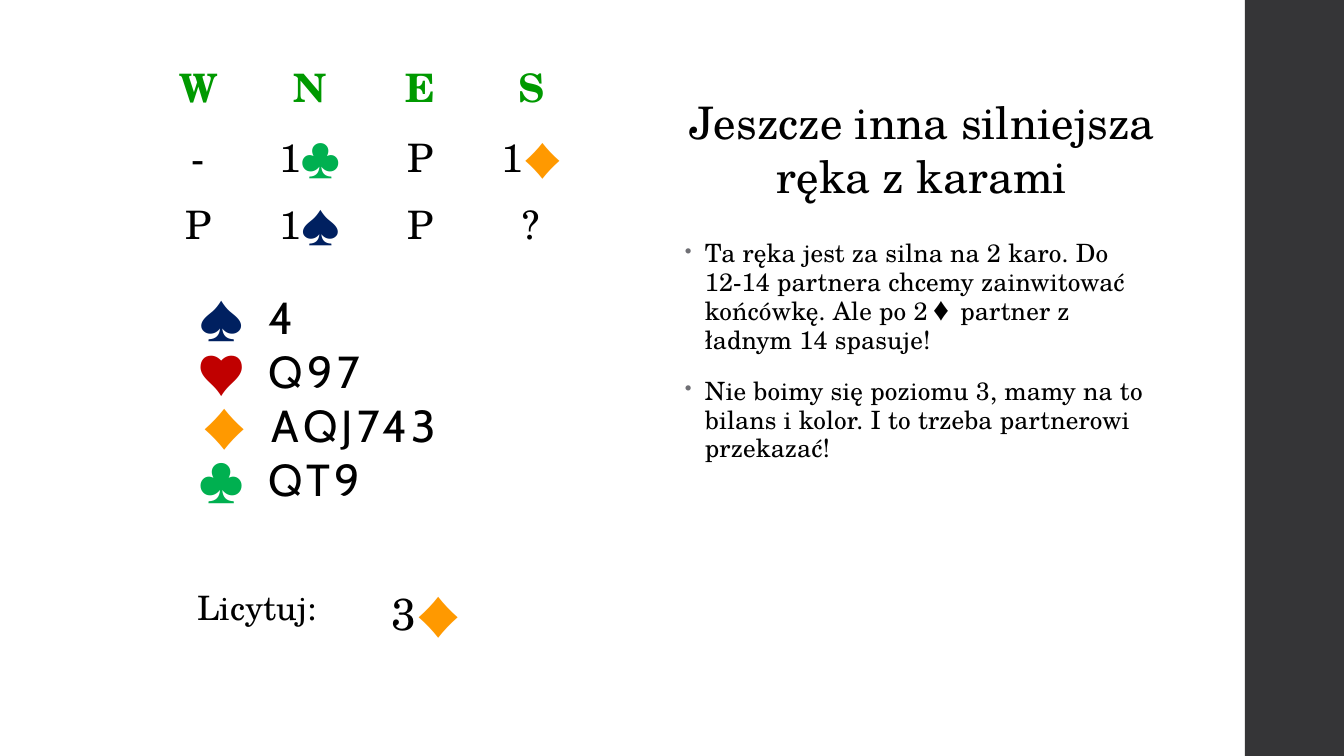
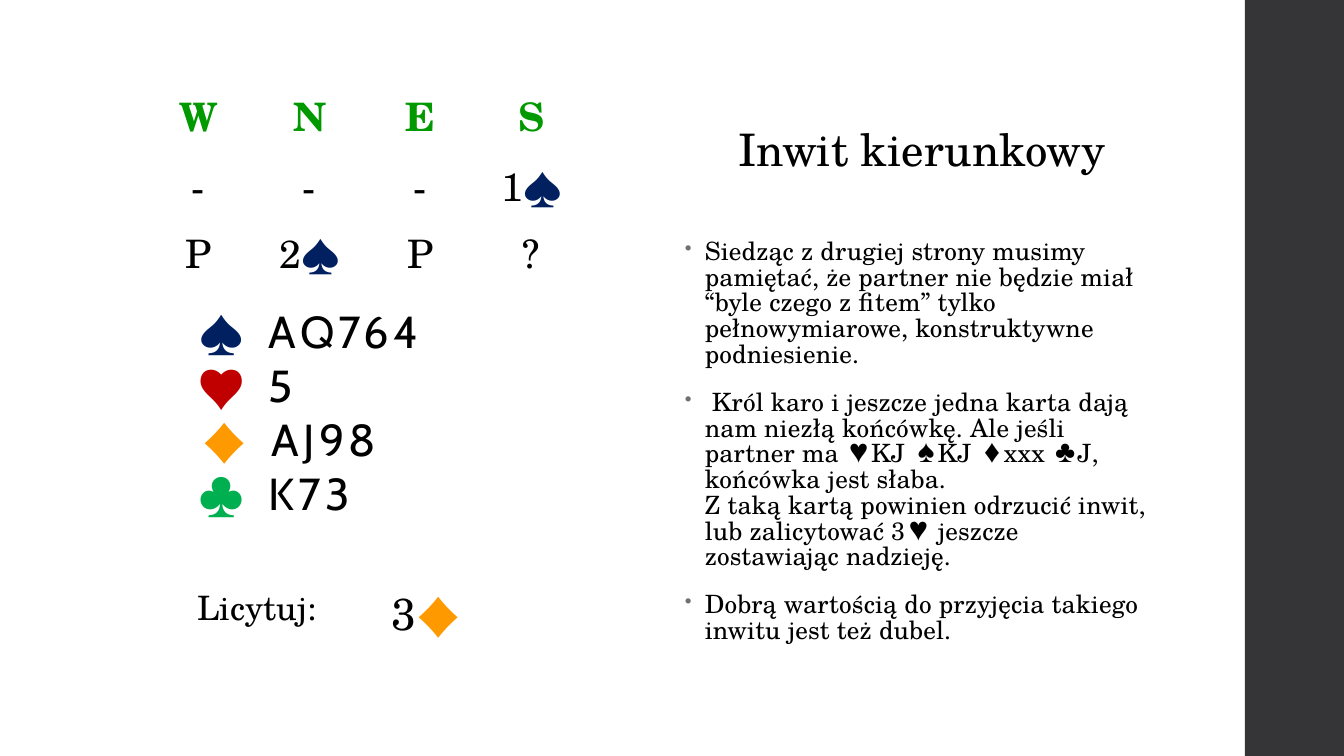
import pptx
import pptx.util
import pptx.dml.color
import pptx.enum.shapes
import pptx.enum.text
import pptx.oxml.ns
import lxml.etree

SLIDES = [
    {
        "title": "Jeszcze inna silniejsza ręka z karami",
        "auction": [["-", "1♣", "P", "1♦"], ["P", "1♠", "P", "?"]],
        "hand": ["4", "Q97", "AQJ743", "QT9"],
        "answer": "3♦",
        "comments": [
            "Ta ręka jest za silna na 2 karo. Do\n12-14 partnera chcemy zainwitować "
            "końcówkę. Ale po 2♦ partner z ładnym 14 spasuje!",
            "Nie boimy się poziomu 3, mamy na to bilans i kolor. "
            "I to trzeba partnerowi przekazać!",
        ],
        "line_spacing": 0.95,
        "auction_top": 52,
        "hand_top": 285,
    },
    {
        "title": "Inwit kierunkowy",
        "auction": [["-", "-", "-", "1♠"], ["P", "2♠", "P", "?"]],
        "hand": ["AQ764", "5", "AJ98", "K73"],
        "answer": "3♦",
        "comments": [
            "Siedząc z drugiej strony musimy pamiętać, że partner nie będzie miał "
            "“byle czego z fitem” tylko pełnowymiarowe, konstruktywne podniesienie.",
            " Król karo i jeszcze jedna karta dają nam niezłą końcówkę. Ale jeśli "
            "partner ma ♥KJ ♠KJ ♦xxx ♣J, końcówka jest słaba.\n"
            "Z taką kartą powinien odrzucić inwit, lub zalicytować 3♥ jeszcze "
            "zostawiając nadzieję.",
            "Dobrą wartością do przyjęcia takiego inwitu jest też dubel.",
        ],
        "line_spacing": 0.85,
        "auction_top": 81,
        "hand_top": 299,
    },
]

PLAYERS = ["W", "N", "E", "S"]
PROMPT = "Licytuj:"
SUITS = {"♠": "002060", "♥": "C00000", "♦": "FF9900", "♣": "00B050"}
BLACK, WHITE, GREEN, GRAY, DARK = "000000", "FFFFFF", "009900", "6F6F74", "353537"
SERIF, SANS = "TeX Gyre Schola", "Cabin"

SLIDE_WIDTH, SLIDE_HEIGHT = 1344, 756
BAND_LEFT = 1245
RIGHT_LEFT, RIGHT_WIDTH = 675, 494
TITLE_BOX = (RIGHT_LEFT, 89, RIGHT_WIDTH, 119)
COMMENT_BOX = (RIGHT_LEFT, 235, RIGHT_WIDTH, 455)
AUCTION_LEFT, AUCTION_COLUMN, AUCTION_ROW = 143, 111, 41
HAND_LEFT, HAND_WIDTH, HAND_HEIGHT = 188, 352, 228
HAND_TABS = [(50, "r"), (71, "l")]
DIAMOND_INDENT = 3
ANSWER_LEFT, ANSWER_TOP, ANSWER_COLUMNS, ANSWER_ROW = 133, 575, [248, 159], 63
BULLET_INDENT = 20

ALIGN = pptx.enum.text.PP_ALIGN
MIDDLE = pptx.enum.text.MSO_ANCHOR.MIDDLE


def px(length):
    return round(length * 914400 / 100.8)


def color(value):
    return pptx.dml.color.RGBColor.from_string(value)


def apply(target, values):
    for name, value in values.items():
        setattr(target, name, value)


def format_run(run, size, font=SERIF, fill=BLACK, bold=False, spacing=0):
    apply(run.font, {"size": pptx.util.Pt(size), "name": font, "bold": bold})
    run.font.color.rgb = color(fill)
    if spacing:
        run.font._element.set("spc", str(round(spacing * 100)))


def add_run(paragraph, text, size, **style):
    run = paragraph.add_run()
    run.text = text
    format_run(run, size, **style)


def add_bid(paragraph, bid, size, **style):
    for symbol in bid:
        if symbol in SUITS:
            add_run(paragraph, symbol, size, font=SANS, fill=SUITS[symbol], spacing=3)
        else:
            add_run(paragraph, symbol, size, **style)


def add_property(parent, tag, **attributes):
    return lxml.etree.SubElement(
        parent, pptx.oxml.ns.qn(tag), {name: str(value) for name, value in attributes.items()}
    )


def add_text_box(slide, box):
    frame = slide.shapes.add_textbox(*map(px, box)).text_frame
    frame.word_wrap = True
    return frame


def next_paragraph(frame, index):
    return frame.add_paragraph() if index else frame.paragraphs[0]


def add_plain_table(slide, left, top, columns, row_height, row_count):
    shape = slide.shapes.add_table(
        row_count, len(columns), px(left), px(top), px(sum(columns)), px(row_height * row_count)
    )
    table = shape.table
    apply(table, {"first_row": False, "horz_banding": False})
    for column, width in zip(table.columns, columns):
        column.width = px(width)
    for cell in table.iter_cells():
        cell.fill.background()
        cell.vertical_anchor = MIDDLE
        cell.text_frame.paragraphs[0].alignment = ALIGN.CENTER
    return table


def add_title(slide, text):
    title = slide.shapes.title
    apply(title, dict(zip(("left", "top", "width", "height"), map(px, TITLE_BOX))))
    frame = title.text_frame
    apply(frame, {
        "word_wrap": True,
        "vertical_anchor": MIDDLE,
        "auto_size": pptx.enum.text.MSO_AUTO_SIZE.NONE,
    })
    paragraph = frame.paragraphs[0]
    paragraph.alignment = ALIGN.CENTER
    add_run(paragraph, text, 32)


def add_auction(slide, top, bids):
    rows = [PLAYERS] + bids
    columns = [AUCTION_COLUMN] * len(PLAYERS)
    table = add_plain_table(slide, AUCTION_LEFT, top, columns, AUCTION_ROW, len(rows))
    for row_index, row in enumerate(rows):
        style = {} if row_index else {"fill": GREEN, "bold": True}
        for column_index, bid in enumerate(row):
            paragraph = table.cell(row_index, column_index).text_frame.paragraphs[0]
            add_bid(paragraph, bid, 28, **style)


def add_hand(slide, top, holdings):
    frame = add_text_box(slide, (HAND_LEFT, top, HAND_WIDTH, HAND_HEIGHT))
    for index, ((suit, fill), cards) in enumerate(zip(SUITS.items(), holdings)):
        paragraph = next_paragraph(frame, index)
        properties = paragraph._p.get_or_add_pPr()
        if suit == "♦":
            properties.set("marL", str(px(DIAMOND_INDENT)))
        tabs = add_property(properties, "a:tabLst")
        for position, alignment in HAND_TABS:
            add_property(tabs, "a:tab", pos=px(position), algn=alignment)
        for text, run_fill in (("\t", BLACK), (suit + "\t", fill), (cards, BLACK)):
            add_run(paragraph, text, 32, font=SANS, fill=run_fill, spacing=3)


def add_answer(slide, bid):
    table = add_plain_table(slide, ANSWER_LEFT, ANSWER_TOP, ANSWER_COLUMNS, ANSWER_ROW, 1)
    prompt, answer = (table.cell(0, index).text_frame.paragraphs[0] for index in range(2))
    add_run(prompt, PROMPT, 24)
    answer.alignment = ALIGN.LEFT
    add_bid(answer, bid, 32)


def add_comments(slide, comments, line_spacing):
    frame = add_text_box(slide, COMMENT_BOX)
    for index, comment in enumerate(comments):
        paragraph = next_paragraph(frame, index)
        paragraph.text = comment
        apply(paragraph, {
            "line_spacing": line_spacing,
            "space_before": pptx.util.Pt(14),
            "space_after": pptx.util.Pt(2),
        })
        for run in paragraph.runs:
            format_run(run, 18, spacing=0.1)
        properties = paragraph._p.get_or_add_pPr()
        properties.set("marL", str(px(BULLET_INDENT)))
        properties.set("indent", str(px(-BULLET_INDENT)))
        add_property(add_property(properties, "a:buClr"), "a:srgbClr", val=GRAY)
        add_property(properties, "a:buSzPct", val=80000)
        add_property(properties, "a:buChar", char="•")


def add_layout_band(layout, slide):
    band = slide.shapes.add_shape(
        pptx.enum.shapes.MSO_SHAPE.RECTANGLE,
        px(BAND_LEFT), 0, px(SLIDE_WIDTH - BAND_LEFT), px(SLIDE_HEIGHT),
    )
    band.shadow.inherit = False
    band.fill.solid()
    band.fill.fore_color.rgb = color(DARK)
    band.line.fill.background()
    layout.shapes.element.append(band.element)


def main():
    presentation = pptx.Presentation()
    apply(presentation, {"slide_width": px(SLIDE_WIDTH), "slide_height": px(SLIDE_HEIGHT)})
    layout = presentation.slide_layouts[5]
    layout.background.fill.solid()
    layout.background.fill.fore_color.rgb = color(WHITE)
    for index, content in enumerate(SLIDES):
        slide = presentation.slides.add_slide(layout)
        if index == 0:
            add_layout_band(layout, slide)
        add_title(slide, content["title"])
        add_auction(slide, content["auction_top"], content["auction"])
        add_comments(slide, content["comments"], content["line_spacing"])
        add_hand(slide, content["hand_top"], content["hand"])
        add_answer(slide, content["answer"])
    presentation.save("out.pptx")


if __name__ == "__main__":
    main()
